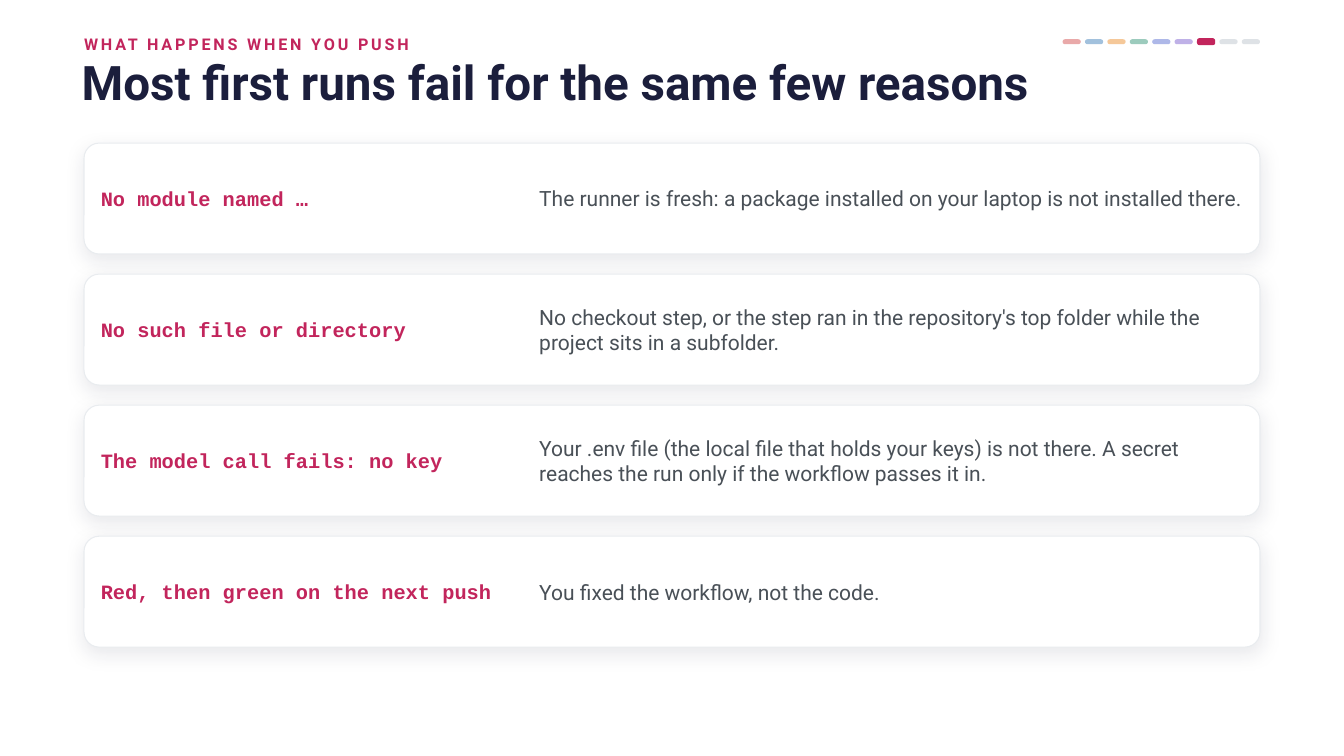
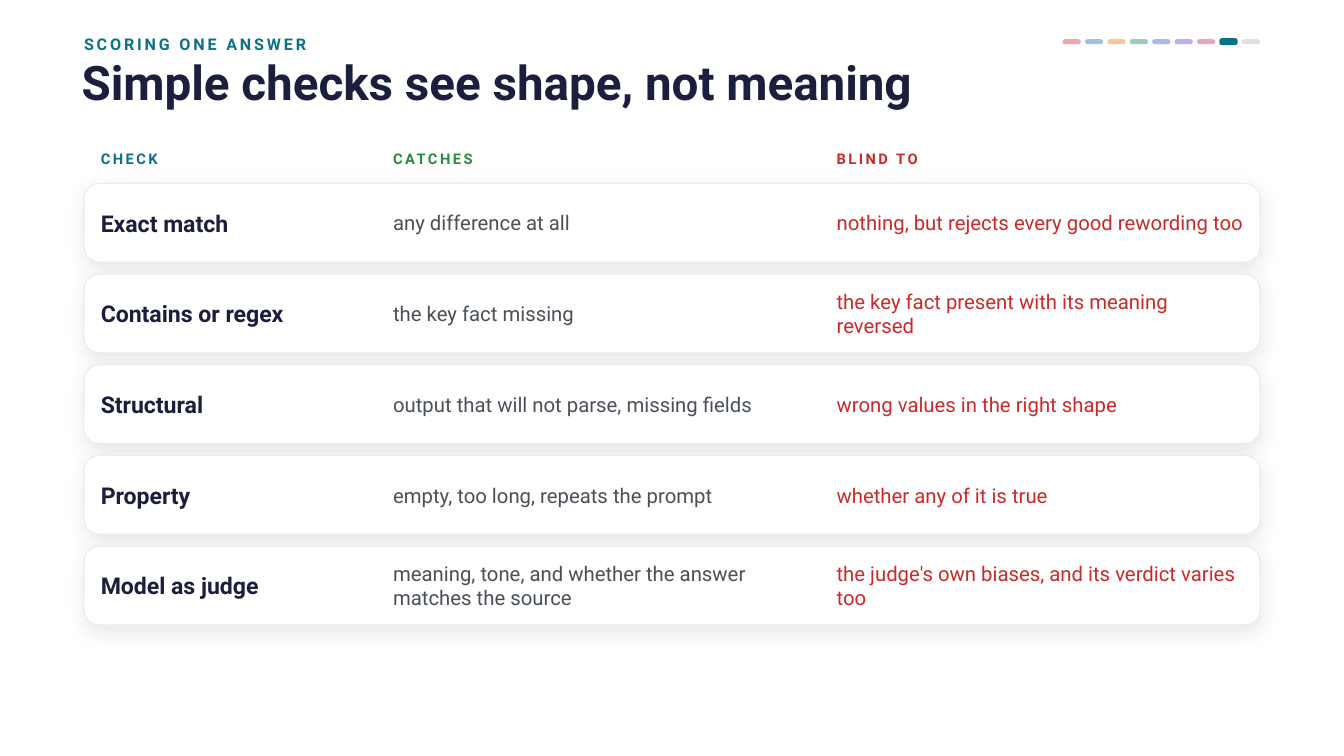
import collections

import pptx
import pptx.dml.color
import pptx.enum.shapes
import pptx.enum.text
import pptx.oxml
import pptx.oxml.ns
import pptx.util

Pt = pptx.util.Pt
RGBColor = pptx.dml.color.RGBColor

# Colours
NAVY = RGBColor(0x1B, 0x1E, 0x3C)
GRAY = RGBColor(0x49, 0x50, 0x57)
PALE = RGBColor(0xDE, 0xE2, 0xE6)
BORDER = RGBColor(0xE9, 0xEC, 0xEF)
WHITE = RGBColor(0xFF, 0xFF, 0xFF)
RED = RGBColor(0xC9, 0x2A, 0x2A)
BLUE = RGBColor(0x18, 0x64, 0xAB)
ORANGE = RGBColor(0xE6, 0x77, 0x00)
JADE = RGBColor(0x08, 0x7F, 0x5B)
INDIGO = RGBColor(0x36, 0x4F, 0xC7)
VIOLET = RGBColor(0x5F, 0x3D, 0xC4)
PINK = RGBColor(0xC2, 0x25, 0x5C)
TEAL = RGBColor(0x0B, 0x72, 0x85)
GREEN = RGBColor(0x2B, 0x8A, 0x3E)
SECTION_COLORS = [RED, BLUE, ORANGE, JADE, INDIGO, VIOLET, PINK, TEAL]
SECTION_COUNT = 9

# Fonts and shared layout, in points
SANS, MONO = "Roboto", "Courier New"
LEFT, WIDTH = 60, 840
CONTENT_TOP = 102.24
CARD_RADIUS = 10.8

Style = collections.namedtuple("Style", "size color bold font spacing", defaults=(False, SANS, 0))
# A column's left edge is measured from the left edge of its card
Column = collections.namedtuple("Column", "left width style")

TITLE_STYLE = Style(34, NAVY, True)

REASON_COLUMNS = [
    Column(12, 302.4, Style(14.5, PINK, True, MONO)),
    Column(325.2, 504, Style(15, GRAY)),
]
REASONS = [
    ("No module named …",
     "The runner is fresh: a package installed on your laptop is not installed there."),
    ("No such file or directory",
     "No checkout step, or the step ran in the repository's top folder while the "
     "project sits in a subfolder."),
    ("The model call fails: no key",
     "Your .env file (the local file that holds your keys) is not there. A secret "
     "reaches the run only if the workflow passes it in."),
    ("Red, then green on the next push", "You fixed the workflow, not the code."),
]

CHECK_COLUMNS = [
    Column(12, 201.6, Style(16.5, NAVY, True)),
    Column(220.8, 302.4, Style(14.5, GRAY)),
    Column(537.6, 295.2, Style(14.5, RED)),
]
CHECK_HEADINGS = [("CHECK", TEAL), ("CATCHES", GREEN), ("BLIND TO", RED)]
CHECKS = [
    ("Exact match", "any difference at all", "nothing, but rejects every good rewording too"),
    ("Contains or regex", "the key fact missing",
     "the key fact present with its meaning reversed"),
    ("Structural", "output that will not parse, missing fields",
     "wrong values in the right shape"),
    ("Property", "empty, too long, repeats the prompt", "whether any of it is true"),
    ("Model as judge", "meaning, tone, and whether the answer matches the source",
     "the judge's own biases, and its verdict varies too"),
]


def write_text(shape, text, style):
    """Fill a shape with one left-aligned, vertically centred paragraph."""
    frame = shape.text_frame
    frame.auto_size = pptx.enum.text.MSO_AUTO_SIZE.NONE
    frame.word_wrap = True
    frame.vertical_anchor = pptx.enum.text.MSO_ANCHOR.MIDDLE
    frame.margin_left = frame.margin_right = frame.margin_top = frame.margin_bottom = 0
    frame.text = text
    paragraph = frame.paragraphs[0]
    paragraph.alignment = pptx.enum.text.PP_ALIGN.LEFT
    paragraph.font.name = style.font
    paragraph.font.size = Pt(style.size)
    paragraph.font.bold = style.bold
    paragraph.font.color.rgb = style.color
    if style.spacing:
        run_properties = paragraph.runs[0]._r.get_or_add_rPr()
        run_properties.set("spc", str(round(style.spacing * 100)))
    return paragraph


def add_text(slide, left, top, width, height, text, style):
    box = slide.shapes.add_textbox(Pt(left), Pt(top), Pt(width), Pt(height))
    write_text(box, text, style)


def add_rounded(slide, left, top, width, height, radius, color):
    shape = slide.shapes.add_shape(
        pptx.enum.shapes.MSO_SHAPE.ROUNDED_RECTANGLE, Pt(left), Pt(top), Pt(width), Pt(height))
    shape.adjustments[0] = radius / height
    shape.shadow.inherit = False
    shape.fill.solid()
    shape.fill.fore_color.rgb = color
    shape.line.fill.background()
    return shape


def set_opacity(shape, percent):
    color = shape.fill._xPr.find(".//" + pptx.oxml.ns.qn("a:srgbClr"))
    alpha = color.makeelement(pptx.oxml.ns.qn("a:alpha"), {"val": str(percent * 1000)})
    color.append(alpha)


def add_soft_shadow(shape):
    """Put a faint shadow in the effect list left by shadow.inherit."""
    effects = shape._element.spPr.find(pptx.oxml.ns.qn("a:effectLst"))
    effects.append(pptx.oxml.parse_xml(
        f'<a:outerShdw {pptx.oxml.ns.nsdecls("a")} blurRad="{Pt(14)}" dist="{Pt(4)}" '
        f'dir="5400000" algn="t" rotWithShape="0">'
        f'<a:srgbClr val="{NAVY}"><a:alpha val="10000"/></a:srgbClr></a:outerShdw>'))


def add_progress(slide, left, middle, current):
    """Dashes for the sections: past ones faded, the current one thicker."""
    for index in range(SECTION_COUNT):
        height = 5 if index == current else 3.6
        radius = 1.75 if index == current else 1.8
        color = SECTION_COLORS[index] if index <= current else PALE
        dash = add_rounded(slide, left + 16 * index, middle - height / 2, 13, height,
                           radius, color)
        if index < current:
            set_opacity(dash, 40)


def add_section_slide(presentation, section, kicker, title):
    """Slide with the shared title, kicker and progress dashes."""
    slide = presentation.slides.add_slide(presentation.slide_layouts.get_by_name("Title Only"))
    heading = slide.shapes.title
    heading.left, heading.top = Pt(58.3), Pt(38.9)
    heading.width, heading.height = Pt(841.7), Pt(43.2)
    write_text(heading, title, TITLE_STYLE).line_spacing = 0.9
    kicker_style = Style(11.5, SECTION_COLORS[section], True, spacing=2)
    add_text(slide, LEFT, 23, 650, 17.3, kicker, kicker_style)
    add_progress(slide, LEFT + WIDTH - 141, 29.8, section)
    return slide


def add_card(slide, left, top, width, height, columns, texts):
    card = add_rounded(slide, left, top, width, height, CARD_RADIUS, WHITE)
    card.line.color.rgb = BORDER
    card.line.width = Pt(0.75)
    add_soft_shadow(card)
    for column, text in zip(columns, texts):
        add_text(slide, left + column.left, top, column.width, height, text, column.style)


def add_cards(slide, top, height, gap, columns, rows):
    for index, texts in enumerate(rows):
        add_card(slide, LEFT, top + index * (height + gap), WIDTH, height, columns, texts)


def add_headings(slide, left, top, columns, headings):
    for column, (text, color) in zip(columns, headings):
        add_text(slide, left + column.left, top, column.width, 21.6, text,
                 Style(10.5, color, True, spacing=1.8))


def build_reasons(presentation):
    slide = add_section_slide(presentation, 6, "WHAT HAPPENS WHEN YOU PUSH",
                              "Most first runs fail for the same few reasons")
    add_cards(slide, CONTENT_TOP, 79.2, 14.4, REASON_COLUMNS, REASONS)


def build_checks(presentation):
    slide = add_section_slide(presentation, 7, "SCORING ONE ANSWER",
                              "Simple checks see shape, not meaning")
    add_headings(slide, LEFT, CONTENT_TOP, CHECK_COLUMNS, CHECK_HEADINGS)
    add_cards(slide, CONTENT_TOP + 28.8, 56.16, 8.64, CHECK_COLUMNS, CHECKS)


def main():
    presentation = pptx.Presentation()
    presentation.slide_width, presentation.slide_height = Pt(960), Pt(540)
    build_reasons(presentation)
    build_checks(presentation)
    presentation.save("out.pptx")


if __name__ == "__main__":
    main()
